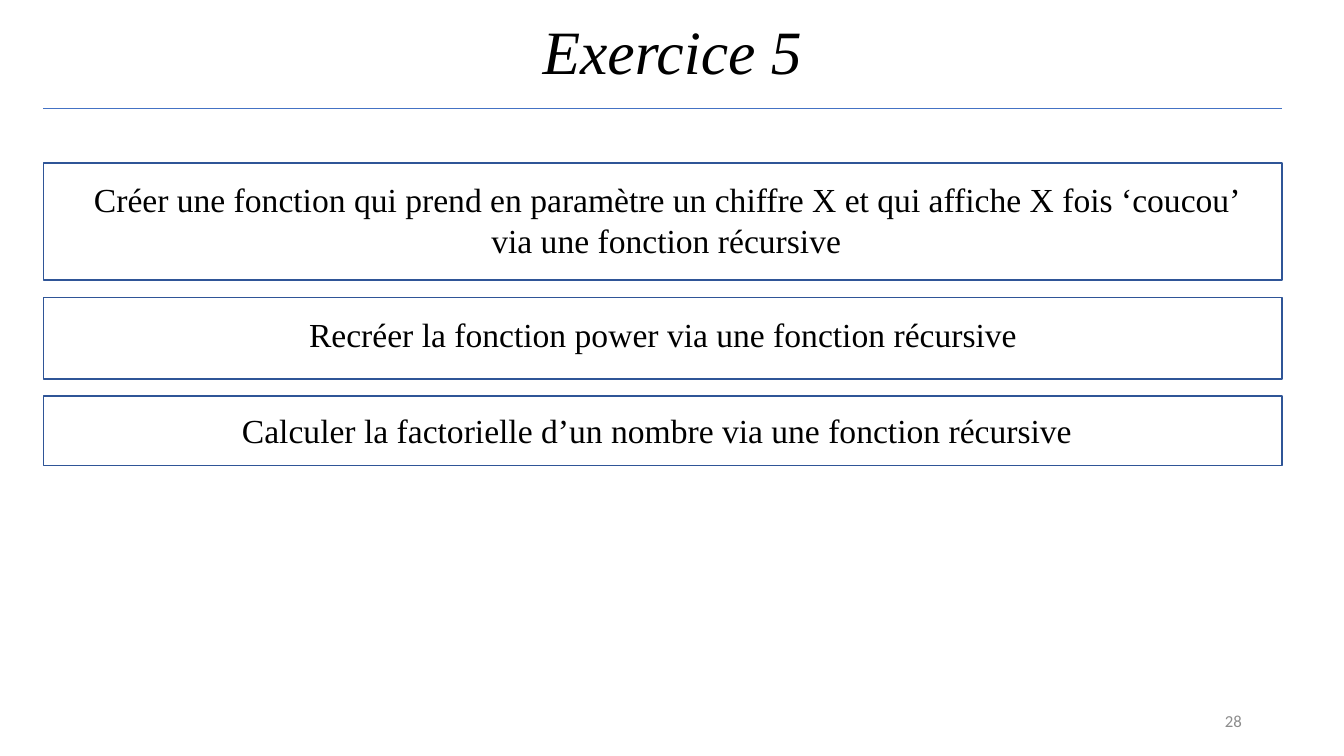
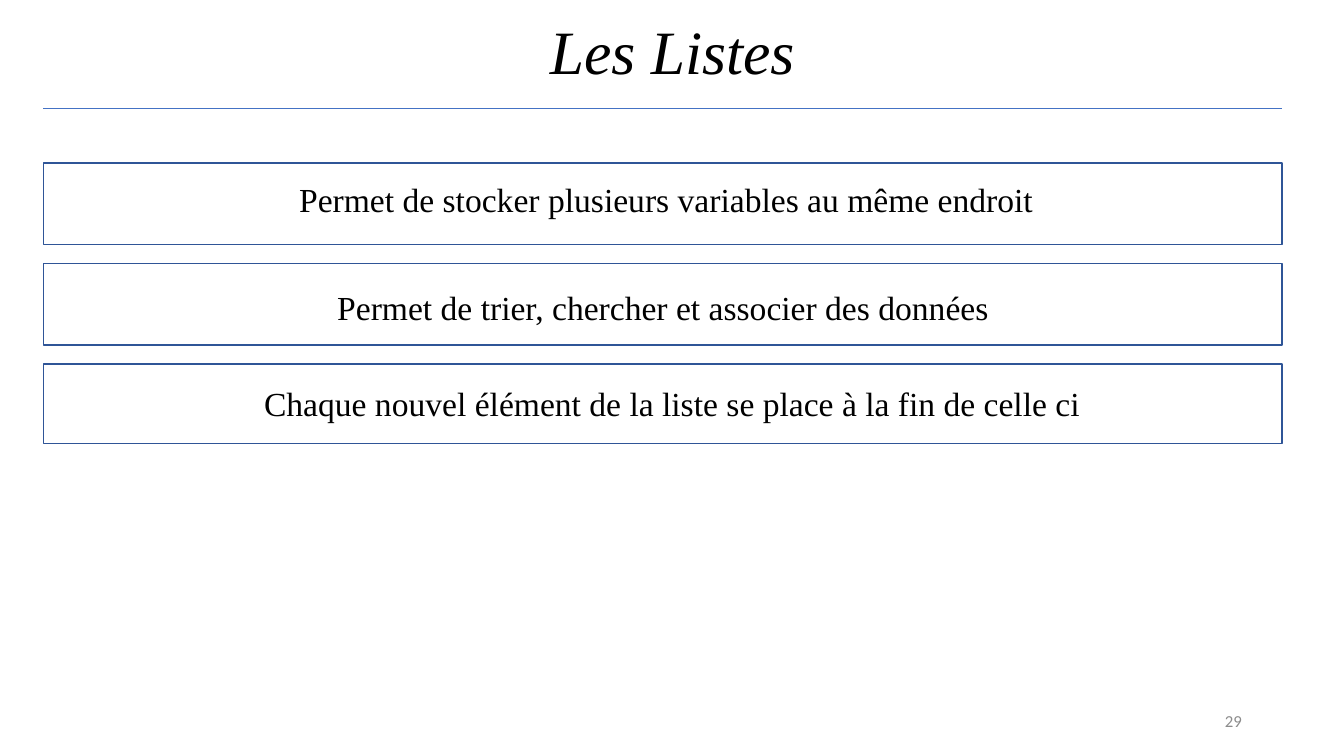
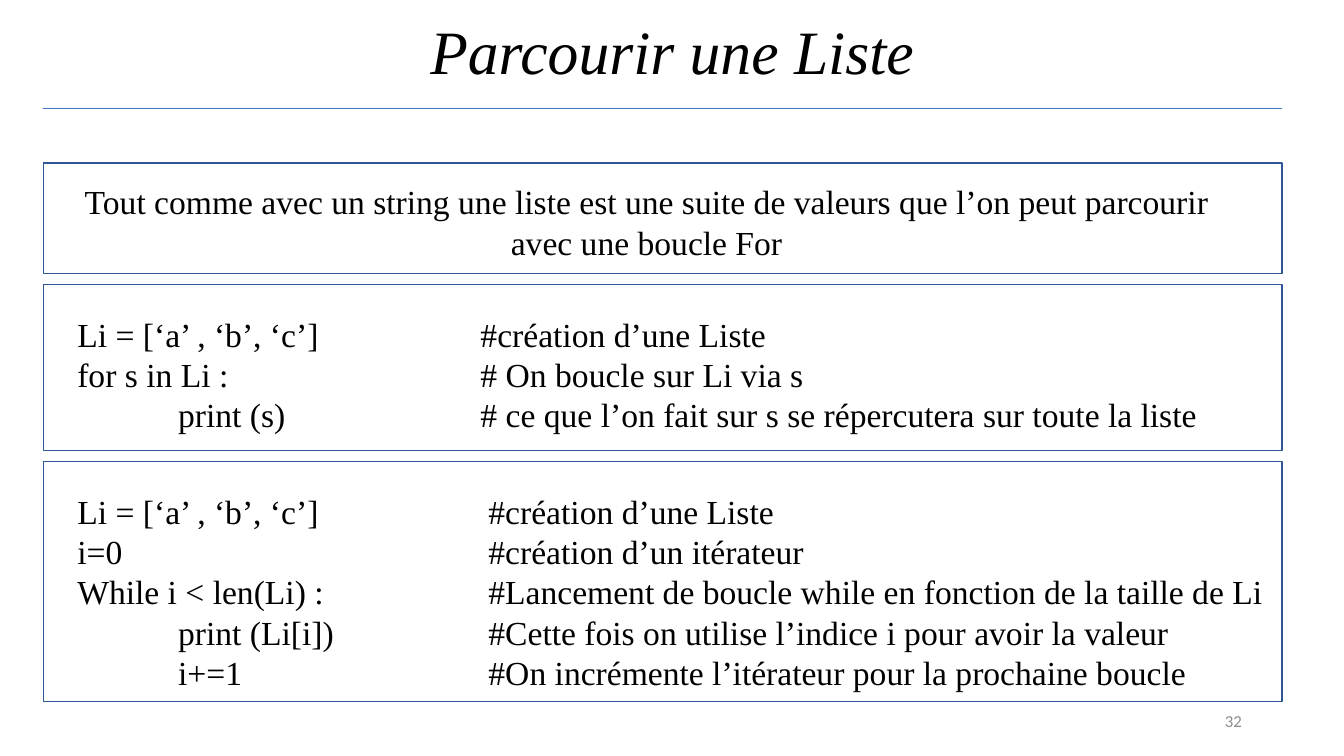
import lxml.etree
import pptx
import pptx.dml.color
import pptx.enum.shapes
import pptx.enum.text
import pptx.oxml.ns
import pptx.util
from pptx.util import Cm

COLORS = {"text": "000000", "number": "8C8C8C", "rule": "4472C4", "border": "2F5597"}
SERIF, SANS = "Times New Roman", "Calibri"
ALIGN = pptx.enum.text.PP_ALIGN
ANCHOR = pptx.enum.text.MSO_ANCHOR

FRAME_LEFT, FRAME_WIDTH, FRAME_TOP = 1.09, 31.22, 4.11
RULE_TOP = 2.74
TEXT_WIDTH = 30.48
LINE_HEIGHT, TEXT_PADDING = 1.03, 0.25
CODE_INDENT = 2.54

SLIDES = [
    {"title": "Exercice 5", "number": "28", "gap": 0.43, "frames": [
        {"height": 2.95, "left": 1.55, "inset": 0.28, "lines": 2,
         "text": "Créer une fonction qui prend en paramètre un chiffre X et qui affiche X fois ‘coucou’ via une fonction récursive"},
        {"height": 2.06, "left": 1.47, "inset": 0.3,
         "text": "Recréer la fonction power via une fonction récursive"},
        {"height": 1.75, "left": 1.32, "inset": 0.23,
         "text": "Calculer la factorielle d’un nombre via une fonction récursive"},
    ]},
    {"title": "Les Listes", "number": "29", "gap": 0.47, "frames": [
        {"height": 2.06, "left": 1.55, "inset": 0.28,
         "text": "Permet de stocker plusieurs variables au même endroit"},
        {"height": 2.06, "left": 1.47, "inset": 0.46,
         "text": "Permet de trier, chercher et associer des données"},
        {"height": 2.01, "left": 1.7, "inset": 0.36,
         "text": "Chaque nouvel élément de la liste se place à la fin de celle ci"},
    ]},
    {"title": "Parcourir une Liste", "number": "32", "gap": 0.27, "frames": [
        {"height": 2.79, "left": 1.55, "inset": 0.33, "lines": 2, "width": 29.49,
         "text": "Tout comme avec un string une liste est une suite de valeurs que l’on peut parcourir avec une boucle For"},
        {"height": 4.19, "left": 1.7, "inset": 0.61, "comment_tab": 10.16, "code": [
            ("Li = [‘a’ , ‘b’, ‘c’]", "#création d’une Liste"),
            ("for s in Li :", "# On boucle sur Li via s"),
            ("\tprint (s)", "# ce que l’on fait sur s se répercutera sur toute la liste"),
        ]},
        {"height": 6.05, "left": 1.7, "inset": 0.61, "comment_tab": 10.36, "code": [
            ("Li = [‘a’ , ‘b’, ‘c’]", "#création d’une Liste"),
            ("i=0", "#création d’un itérateur"),
            ("While i < len(Li) :", "#Lancement de boucle while en fonction de la taille de Li"),
            ("\tprint (Li[i])", "#Cette fois on utilise l’indice i pour avoir la valeur"),
            ("\ti+=1", "#On incrémente l’itérateur pour la prochaine boucle"),
        ]},
    ]},
]


def rgb(name):
    return pptx.dml.color.RGBColor.from_string(COLORS[name])


def add_element(parent, tag, **attributes):
    return lxml.etree.SubElement(parent, pptx.oxml.ns.qn(tag), attributes)


def set_tabs(paragraph, positions):
    tab_list = add_element(paragraph._p.get_or_add_pPr(), "a:tabLst")
    for position in positions:
        add_element(tab_list, "a:tab", pos=str(int(Cm(position))), algn="l")


def add_text(slide, lines, left, top, width, height, size=24, font=SERIF, color="text",
             italic=False, align=ALIGN.CENTER, anchor=ANCHOR.TOP, spacing=None, comment_tab=None):
    shape = slide.shapes.add_textbox(Cm(left), Cm(top), Cm(width), Cm(height))
    frame = shape.text_frame
    frame.word_wrap = True
    frame.vertical_anchor = anchor
    for index, line in enumerate(lines):
        paragraph = frame.paragraphs[0] if index == 0 else frame.add_paragraph()
        paragraph.alignment = align
        if spacing:
            paragraph.line_spacing = spacing
        if comment_tab:
            indent = [CODE_INDENT] if line.startswith("\t") else []
            set_tabs(paragraph, indent + [comment_tab])
        run = paragraph.add_run()
        run.text = line
        run.font.size = pptx.util.Pt(size)
        run.font.name = font
        run.font.italic = italic
        run.font.color.rgb = rgb(color)


def add_rule(slide):
    connector = slide.shapes.add_connector(
        pptx.enum.shapes.MSO_CONNECTOR.STRAIGHT,
        Cm(FRAME_LEFT), Cm(RULE_TOP), Cm(FRAME_LEFT + FRAME_WIDTH), Cm(RULE_TOP))
    connector.line.color.rgb = rgb("rule")
    connector.line.width = pptx.util.Pt(0.5)
    add_element(connector._element.spPr, "a:effectLst")


def add_frame(slide, frame, top):
    shape = slide.shapes.add_shape(
        pptx.enum.shapes.MSO_SHAPE.RECTANGLE,
        Cm(FRAME_LEFT), Cm(top), Cm(FRAME_WIDTH), Cm(frame["height"]))
    shape.shadow.inherit = False
    shape.fill.background()
    shape.line.color.rgb = rgb("border")
    shape.line.width = pptx.util.Pt(1)
    if "code" in frame:
        lines = [f"{code}\t{comment}" for code, comment in frame["code"]]
        align = ALIGN.LEFT
    else:
        lines = [frame["text"]]
        align = ALIGN.CENTER
    line_count = frame.get("lines", len(lines))
    add_text(slide, lines, frame["left"], top + frame["inset"], frame.get("width", TEXT_WIDTH),
             TEXT_PADDING + LINE_HEIGHT * line_count, align=align,
             comment_tab=frame.get("comment_tab"))


def build_slide(presentation, content):
    slide = presentation.slides.add_slide(presentation.slide_layouts[6])
    add_text(slide, [content["title"]], 2.34, -0.46, 29.21, 3.68, size=44, italic=True,
             anchor=ANCHOR.MIDDLE, spacing=0.9)
    add_text(slide, [content["number"]], 23.93, 17.65, 7.62, 1.02, size=12, font=SANS,
             color="number", align=ALIGN.RIGHT, anchor=ANCHOR.MIDDLE)
    add_rule(slide)
    top = FRAME_TOP
    for frame in content["frames"]:
        add_frame(slide, frame, top)
        top += frame["height"] + content["gap"]


def main():
    presentation = pptx.Presentation()
    presentation.slide_width, presentation.slide_height = Cm(33.87), Cm(19.05)
    for content in SLIDES:
        build_slide(presentation, content)
    presentation.save("out.pptx")


if __name__ == "__main__":
    main()
